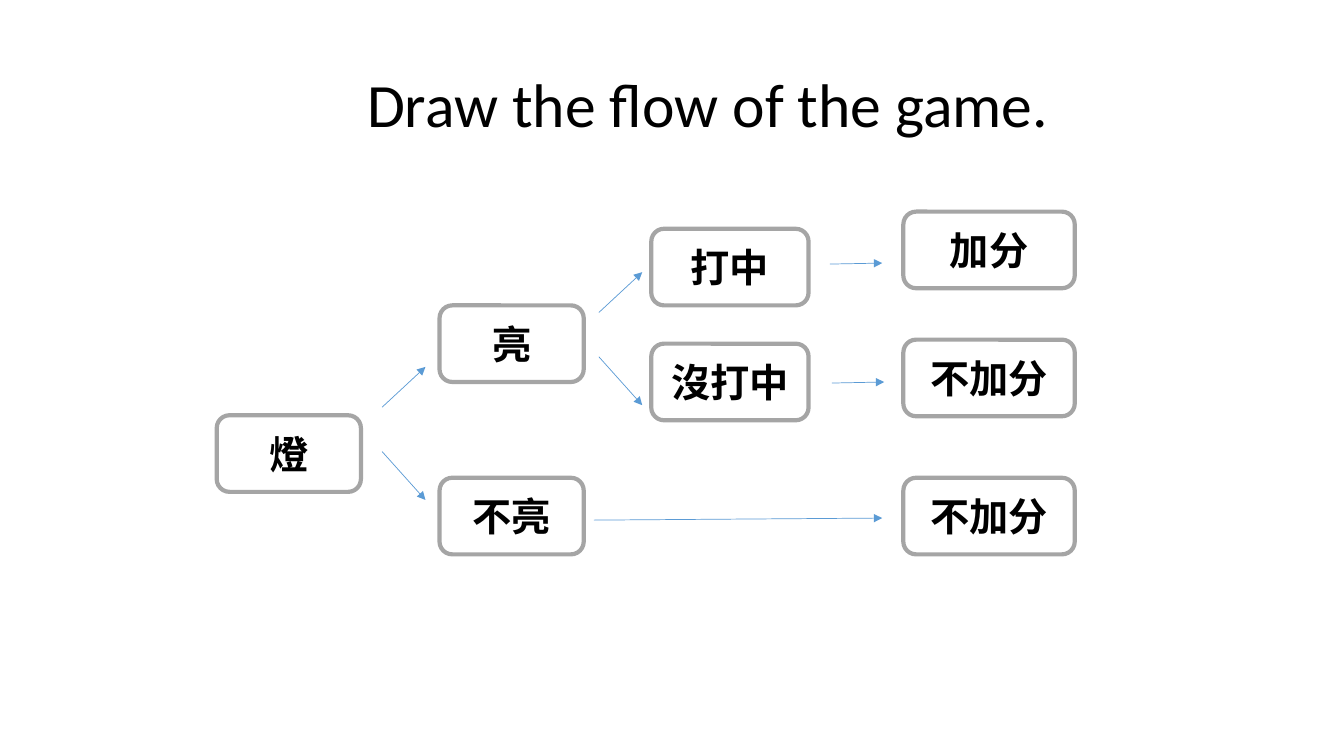
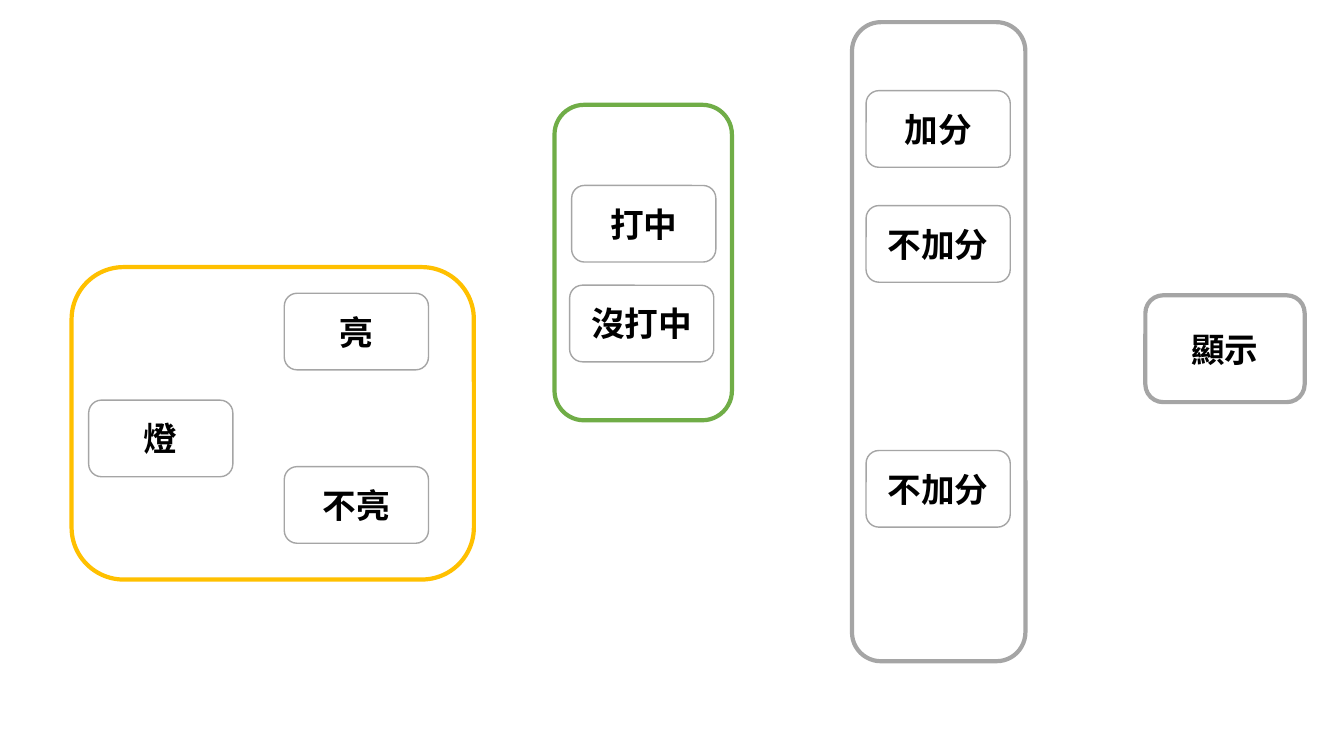
from pptx import Presentation
from pptx.dml.color import RGBColor
from pptx.enum.shapes import MSO_CONNECTOR, MSO_SHAPE
from pptx.enum.text import MSO_ANCHOR, MSO_AUTO_SIZE, PP_ALIGN
from pptx.oxml.ns import qn
from pptx.util import Pt
from lxml.etree import SubElement

PX = 9144
FONT = "Calibri"
CARD_W, CARD_H = 143, 76
COLORS = {
    "text": "000000",
    "fill": "FFFFFF",
    "gray": "A5A5A5",
    "green": "70AD47",
    "gold": "FFC000",
    "arrow": "5B9BD5",
}


def px(*values):
    return [v * PX for v in values]


def color(name):
    return RGBColor.from_string(COLORS[name])


def style_text(p, size, bold=False):
    for r in p.runs:
        r.font.name = FONT
        r.font.size = Pt(size)
        r.font.bold = bold
        r.font.color.rgb = color("text")


def add_title(s, text, x, y, w, h, inset):
    sp = s.shapes.title
    sp.left, sp.top, sp.width, sp.height = px(x, y, w, h)
    tf = sp.text_frame
    tf.text = text
    tf.word_wrap = True
    tf.auto_size = MSO_AUTO_SIZE.NONE
    tf.vertical_anchor = MSO_ANCHOR.MIDDLE
    tf.margin_left = inset * PX
    p = tf.paragraphs[0]
    p.alignment = PP_ALIGN.LEFT
    p.line_spacing = 0.9
    style_text(p, 44)


def add_box(s, x, y, w, h, text="", size=24, line="gray", weight=3):
    sp = s.shapes.add_shape(MSO_SHAPE.ROUNDED_RECTANGLE, *px(x, y, w, h))
    sp.shadow.inherit = False
    sp.fill.solid()
    sp.fill.fore_color.rgb = color("fill")
    sp.line.color.rgb = color(line)
    sp.line.width = Pt(weight)
    if text:
        tf = sp.text_frame
        tf.text = text
        tf.word_wrap = True
        tf.vertical_anchor = MSO_ANCHOR.MIDDLE
        p = tf.paragraphs[0]
        p.alignment = PP_ALIGN.CENTER
        style_text(p, size, bold=True)


def add_arrow(s, x1, y1, x2, y2):
    cxn = s.shapes.add_connector(MSO_CONNECTOR.STRAIGHT, *px(x1, y1, x2, y2))
    cxn.line.color.rgb = color("arrow")
    cxn.line.width = Pt(0.5)
    SubElement(cxn.line._get_or_add_ln(), qn("a:tailEnd"), type="triangle")
    SubElement(cxn._element.spPr, qn("a:effectLst"))


def add_fork(s, x, y):
    add_arrow(s, x, y + 44, x + 43, y + 92)
    add_arrow(s, x, y, x + 43, y - 40)


def add_flow(s, x, y):
    columns = [
        (0, CARD_W, [("燈", 202)]),
        (221, CARD_W, [("亮", 93), ("不亮", 264)]),
        (431, 156, [("打中", 17), ("沒打中", 131)]),
        (681, 170, [("加分", 0), ("不加分", 127), ("不加分", 264)]),
    ]
    for dx, w, cards in columns:
        for text, dy in cards:
            add_box(s, x + dx, y + dy, w, CARD_H, text, size=28)
    for dx, dy in [(164, 194), (379, 100)]:
        add_fork(s, x + dx, y + dy)
    for x1, y1, x2, y2 in [(608, 52, 660, 51), (610, 170, 662, 169),
                           (374, 306, 660, 304)]:
        add_arrow(s, x + x1, y + y1, x + x2, y + y2)


def add_group(s, x, y, w, h, line, cards):
    add_box(s, x, y, w, h, line=line)
    for text, dx, dy in cards:
        add_box(s, x + dx, y + dy, CARD_W, CARD_H, text, weight=1)


def build_flow_slide(prs):
    s = prs.slides.add_slide(prs.slide_layouts[5])
    add_title(s, "Draw the flow of the game.", 92, 34, 1150, 145, inset=272)
    add_flow(s, 215, 210)


def build_group_slide(prs):
    s = prs.slides.add_slide(prs.slide_layouts[6])
    add_group(s, 845, 22, 172, 634, "gray",
              [("加分", 14, 68), ("不加分", 14, 182), ("不加分", 14, 425)])
    add_group(s, 550, 104, 176, 313, "green",
              [("打中", 17, 80), ("沒打中", 15, 179)])
    add_group(s, 71, 265, 399, 310, "gold",
              [("燈", 17, 132), ("亮", 211, 26), ("不亮", 211, 198)])
    add_box(s, 1136, 293, 158, 106, "顯示")


def main():
    prs = Presentation()
    prs.slide_width, prs.slide_height = px(1333, 750)
    build_flow_slide(prs)
    build_group_slide(prs)
    prs.save("out.pptx")


if __name__ == "__main__":
    main()
